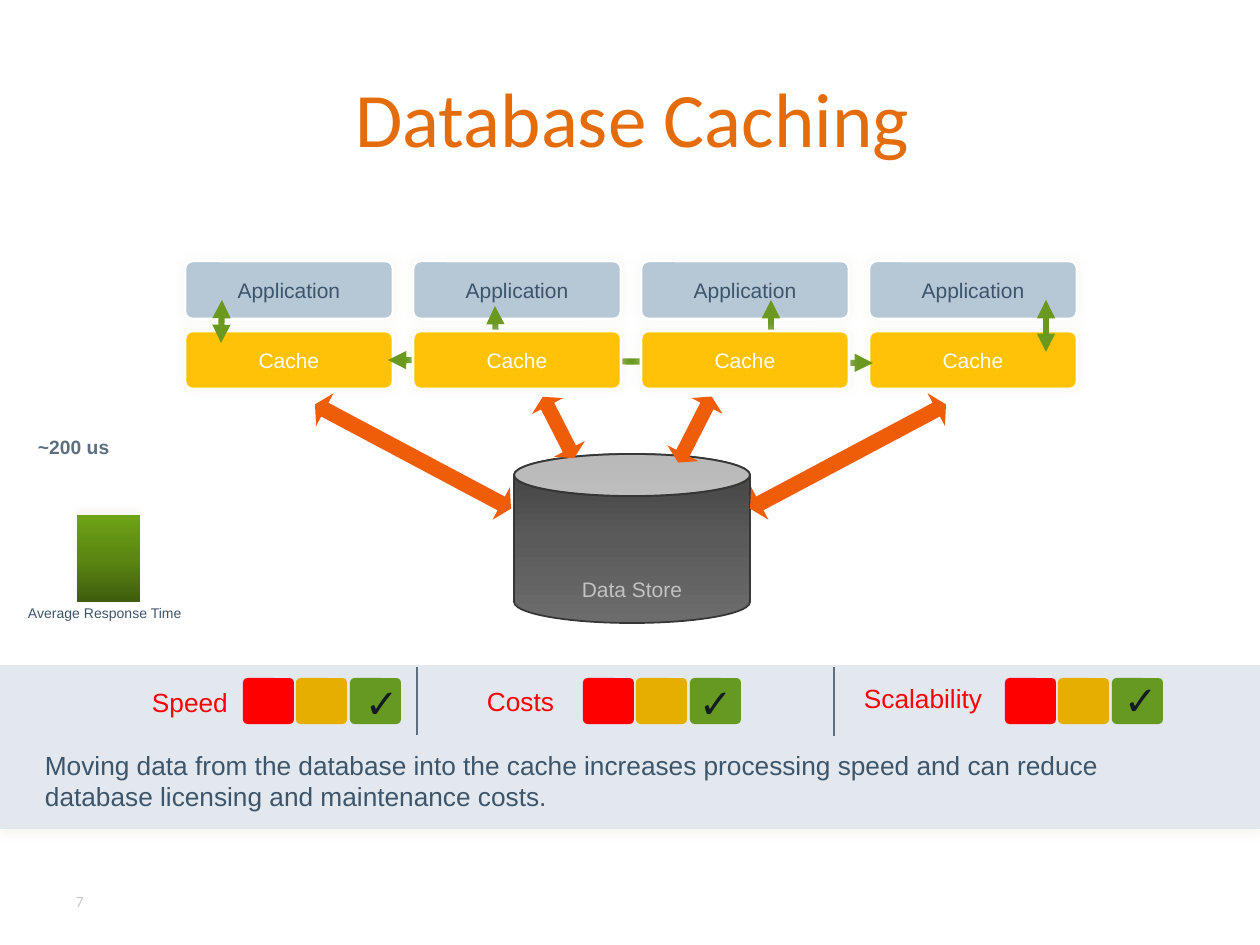
from copy import deepcopy

from lxml import etree
from pptx import Presentation
from pptx.dml.color import RGBColor
from pptx.enum.shapes import MSO_CONNECTOR, MSO_SHAPE
from pptx.enum.text import MSO_ANCHOR, MSO_AUTO_SIZE, PP_ALIGN
from pptx.oxml.ns import qn
from pptx.util import Pt

PX = 914400 / 126
ROUND, RECT, CAN = MSO_SHAPE.ROUNDED_RECTANGLE, MSO_SHAPE.RECTANGLE, MSO_SHAPE.CAN
OVAL, DOUBLE_ARROW = MSO_SHAPE.OVAL, MSO_SHAPE.LEFT_RIGHT_ARROW
STRAIGHT = MSO_CONNECTOR.STRAIGHT
LEFT, CENTER = PP_ALIGN.LEFT, PP_ALIGN.CENTER
TOP, MIDDLE, BOTTOM = MSO_ANCHOR.TOP, MSO_ANCHOR.MIDDLE, MSO_ANCHOR.BOTTOM
FIT_TEXT = MSO_AUTO_SIZE.SHAPE_TO_FIT_TEXT

COLORS = {
    name: RGBColor.from_string(value)
    for name, value in {
        "white": "FFFFFF", "title": "E46C0A", "number": "C8C8C8",
        "application": "B6C7D5", "cache": "FFC206", "ink": "3D556B",
        "sync": "6B991F", "query": "EF5D09", "panel": "E2E8EE",
        "slate": "5D6E7E", "edge": "363636", "store": "C2C2C2",
        "red": "FF0000", "amber": "E6AF00", "green": "669922", "check": "141C23",
    }.items()
}

prs = Presentation()
prs.slide_width, prs.slide_height = round(1260 * PX), round(945 * PX)
slide = prs.slides.add_slide(prs.slide_layouts[6])
shapes = slide.shapes


def add_block(kind, box, fill, line=None, line_width=1, shadow=None):
    block = shapes.add_shape(kind, *[round(v * PX) for v in box])
    block.shadow.inherit = False
    block.fill.solid()
    block.fill.fore_color.rgb = COLORS[fill]
    if line:
        block.line.color.rgb = COLORS[line]
        block.line.width = Pt(line_width)
    else:
        block.line.fill.background()
    if shadow:
        blur, distance, angle = shadow
        effects = block._element.spPr.find(qn("a:effectLst"))
        outer = etree.SubElement(
            effects, qn("a:outerShdw"), blurRad=str(Pt(blur)),
            dist=str(Pt(distance)), dir=str(angle * 60000),
            algn="ctr", rotWithShape="0")
        tint = etree.SubElement(outer, qn("a:srgbClr"), val="EEECE1")
        etree.SubElement(tint, qn("a:alpha"), val="40000")
    return block


def write(target, words, size, color, font="Arial", align=LEFT, anchor=TOP,
          insets=(3, 3, 3, 3), bold=False):
    if isinstance(target, tuple):
        target = shapes.add_textbox(*[round(v * PX) for v in target])
    frame = target.text_frame
    frame.word_wrap = True
    frame.vertical_anchor = anchor
    (frame.margin_left, frame.margin_top,
     frame.margin_right, frame.margin_bottom) = [round(v * PX) for v in insets]
    paragraph = frame.paragraphs[0]
    paragraph.alignment = align
    run = paragraph.add_run()
    run.text = words
    run.font.name = font
    run.font.size = Pt(size)
    run.font.bold = bold
    run.font.color.rgb = COLORS[color]
    return frame


write((63, 876, 294, 50), "7", 9, "number", "Calibri", anchor=MIDDLE,
      insets=(13, 6, 13, 6))
write((63, 38, 1134, 158), "Database Caching", 44, "title", "Calibri", CENTER,
      MIDDLE, (18, 6, 13, 6))

links = [
    (388, 360, 873, 363, "sync", 3.5),
    (222, 300, 221, 343, "sync", 3.5),
    (495, 306, 496, 352, "sync", 3.5),
    (771, 300, 771, 352, "sync", 3.5),
    (1046, 300, 1046, 352, "sync", 3.5),
    (417, 667, 417, 735, "slate", 1.5),
    (834, 667, 834, 736, "slate", 1.5),
]
cards = [("Application", 261, "application", "ink", column) for column in range(4)]
cards += [("Cache", 331, "cache", "white", column) for column in (0, 3, 1, 2)]
panels = [(0, 665, 418, 71), (416, 665, 421, 71), (835, 665, 425, 71)]

add_block(RECT, (0, 735, 1260, 94), "panel", shadow=(4, 3, 90))
for panel in panels:
    add_block(RECT, panel, "panel")

sync_link, *other_links = links
for group_links, group_cards in (([sync_link], cards[:6]), (other_links, cards[6:])):
    if group_links is other_links:
        group_links, group_cards = group_cards, group_links
    for group in (group_cards, group_links):
        for item in group:
            if len(item) == 5:
                label, top, fill, ink, column = item
                card = add_block(ROUND, (185 + 228 * column, top, 208, 58), fill,
                                 "white", 1.5, (5, 0, 0))
                card.adjustments[0] = 0.13
                write(card, label, 12, ink, align=CENTER, anchor=MIDDLE,
                      insets=(0, 0, 0, 0))
                continue
            *ends, color, width = item
            link = shapes.add_connector(STRAIGHT, *[round(v * PX) for v in ends])
            link.line.color.rgb = COLORS[color]
            link.line.width = Pt(width)
            if color == "sync":
                for end in ("a:headEnd", "a:tailEnd"):
                    etree.SubElement(link.line._ln, qn(end), type="triangle")
            etree.SubElement(link._element.spPr, qn("a:effectLst"))

data_store = add_block(CAN, (514, 454, 236, 169), "edge", "edge")
data_store.adjustments[0] = 0.25
write(data_store, "Data Store", 12, "store", align=CENTER, anchor=BOTTOM,
      insets=(0, 0, 0, 0))
store_lid = add_block(OVAL, (514, 454, 236, 42), "white", "edge")
lid_color = store_lid._element.spPr.find(qn("a:solidFill"))[0]
etree.SubElement(lid_color, qn("a:alpha"), val="40000")

response_bar = add_block(RECT, (77, 515, 63, 87), "green", shadow=(4, 3, 270))
for block, shades in (
    (data_store, ("3E3E3E", "5A5A5A", "6C6C6C")),
    (response_bar, ("6DA215", "5B8712", "3F5D0C")),
):
    block.fill.gradient()
    block.fill.gradient_angle = 270
    stop_list = block._element.spPr.find(".//" + qn("a:gsLst"))
    stop_list.insert(1, deepcopy(stop_list[0]))
    for index, (stop, shade) in enumerate(zip(block.fill.gradient_stops, shades)):
        stop.position = index / 2
        stop.color.rgb = RGBColor.from_string(shade)

for box, angle in (
    ((524, 410, 69, 35), 63),
    ((658, 412, 74, 35), 297),
    ((302, 438, 222, 37), 208),
    ((737, 438, 222, 37), 152),
):
    query = add_block(DOUBLE_ARROW, box, "query")
    query.rotation = angle
    query.adjustments[0] = 0.42
    query.adjustments[1] = 0.3

write((35, 432, 147, 28), "~200 us", 11, "slate", bold=True)
caption = write((25, 605, 168, 20), "Average Response Time", 8, "ink")
caption.paragraphs[0].line_spacing = 0.8

for label, label_box, lights_left, check_at in (
    ("Speed", (149, 683, 82, 37), 243, (362, 675)),
    ("Costs", (484, 682, 73, 37), 583, (696, 675)),
    ("Scalability", (861, 679, 125, 37), 1005, (1121, 672)),
):
    rating = write(label_box, label, 15, "red")
    rating.word_wrap = False
    rating.auto_size = FIT_TEXT
    for index, light_color in enumerate(("red", "amber", "green")):
        light = add_block(ROUND, (lights_left + index * 107 // 2, 678, 51, 46),
                          light_color)
        light.adjustments[0] = 0.1
    write((*check_at, 59, 50), "✓", 23, "check")

write((42, 746, 1173, 64),
      "Moving data from the database into the cache increases processing speed "
      "and can reduce database licensing and maintenance costs.", 15, "ink")

prs.save("out.pptx")
